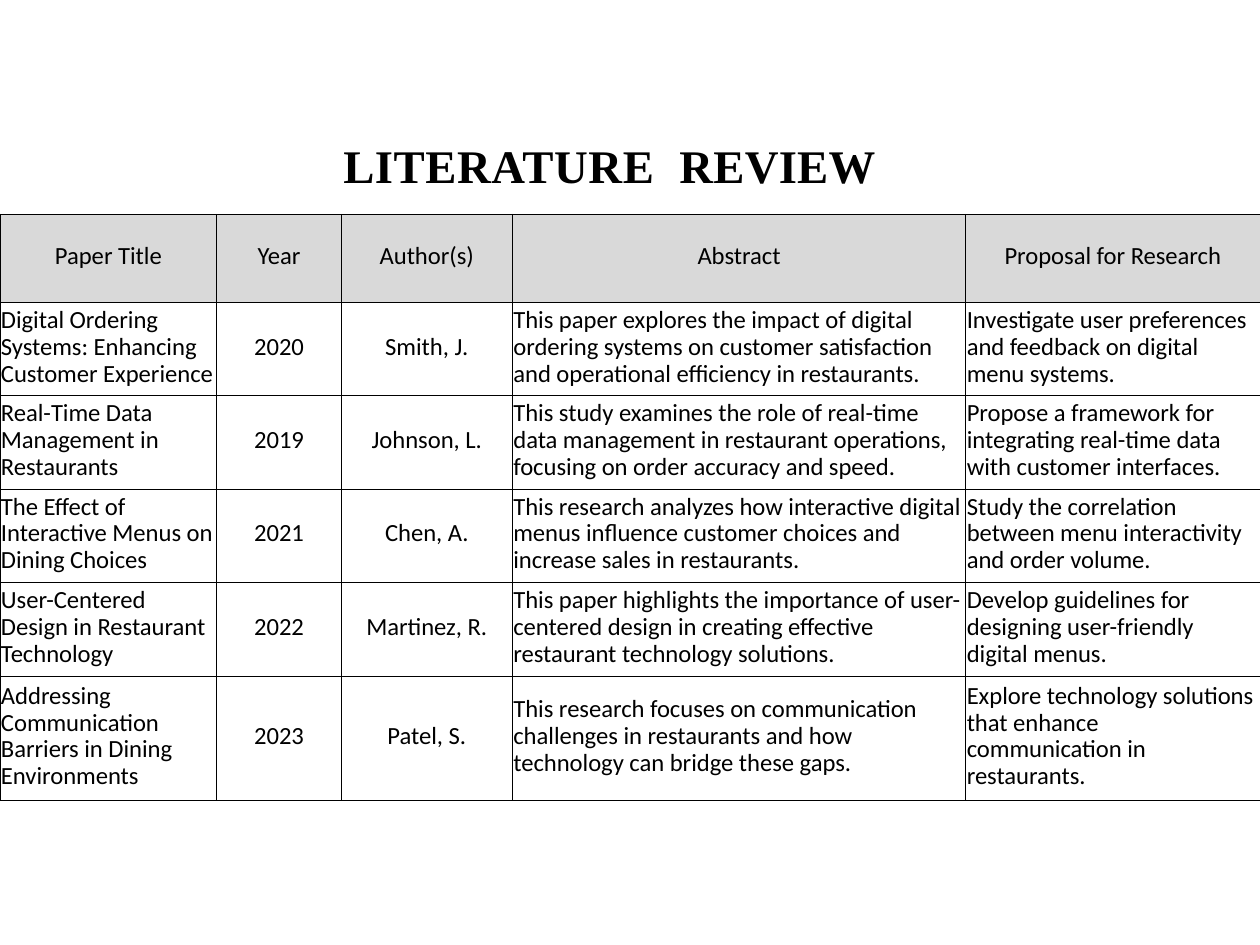
from dataclasses import dataclass

from lxml import etree
from pptx import Presentation
from pptx.dml.color import RGBColor
from pptx.enum import text as t
from pptx.oxml import ns
from pptx.util import Cm, Pt


@dataclass(frozen=True)
class Theme:
    ink: str = "000000"
    head: str = "D9D9D9"
    serif: str = "Times New Roman"
    sans: str = "Calibri"
    title: float = 26.7
    body: float = 14.1
    rule: float = 0.5


THEME = Theme()
COLS = [4.37, 2.51, 3.45, 9.14, 5.93]
ROWS = [1.78, 1.88, 1.88, 1.88, 1.9, 2.49]
MIDDLE = {1, 2}
PAPERS = [
    ["Paper Title", "Year", "Author(s)", "Abstract", "Proposal for Research"],
    ["Digital Ordering Systems: Enhancing Customer Experience", "2020", "Smith, J.",
     "This paper explores the impact of digital ordering systems on customer "
     "satisfaction and operational efficiency in restaurants.",
     "Investigate user preferences and feedback on digital menu systems."],
    ["Real-Time Data Management in Restaurants", "2019", "Johnson, L.",
     "This study examines the role of real-time data management in restaurant "
     "operations, focusing on order accuracy and speed.",
     "Propose a framework for integrating real-time data with customer interfaces."],
    ["The Effect of Interactive Menus on Dining Choices", "2021", "Chen, A.",
     "This research analyzes how interactive digital menus influence customer "
     "choices and increase sales in restaurants.",
     "Study the correlation between menu interactivity and order volume."],
    ["User-Centered Design in Restaurant Technology", "2022", "Martinez, R.",
     "This paper highlights the importance of user-centered design in creating "
     "effective restaurant technology solutions.",
     "Develop guidelines for designing user-friendly digital menus."],
    ["Addressing Communication Barriers in Dining Environments", "2023", "Patel, S.",
     "This research focuses on communication challenges in restaurants and how "
     "technology can bridge these gaps.",
     "Explore technology solutions that enhance communication in restaurants."],
]


def add_run(para, words, face, size, bold=False):
    run = para.add_run()
    run.text = words
    font = run.font
    font.name, font.size, font.bold = face, Pt(size), bold
    font.color.rgb = RGBColor.from_string(THEME.ink)
    return run


def set_edges(cell):
    props = cell._tc.get_or_add_tcPr()
    for side in ("a:lnL", "a:lnR", "a:lnT", "a:lnB"):
        line = etree.SubElement(props, ns.qn(side), w=str(Pt(THEME.rule)))
        fill = etree.SubElement(line, ns.qn("a:solidFill"))
        etree.SubElement(fill, ns.qn("a:srgbClr"), val=THEME.ink)


def add_title(slide, left, top, width, height):
    title = slide.shapes.title
    title.left, title.top = Cm(left), Cm(top)
    title.width, title.height = Cm(width), Cm(height)
    frame = title.text_frame
    frame.margin_left = frame.margin_right = frame.margin_bottom = 0
    frame.margin_top = Cm(0.03)
    frame.vertical_anchor = t.MSO_ANCHOR.MIDDLE
    frame.auto_size = t.MSO_AUTO_SIZE.SHAPE_TO_FIT_TEXT
    para = frame.paragraphs[0]
    para.alignment = t.PP_ALIGN.LEFT
    para.space_before = Pt(1.4)
    for words, gap in (("LITERATURE", 30), (" ", 730), ("REVIEW", 10)):
        run = add_run(para, words, THEME.serif, THEME.title, True)
        run.font._element.set("spc", str(gap))


def fill_cell(cell, words, center, head):
    cell.margin_left = cell.margin_right = cell.margin_top = Cm(0.02)
    cell.margin_bottom = Cm(0.1)
    cell.vertical_anchor = t.MSO_ANCHOR.MIDDLE
    set_edges(cell)
    if head:
        cell.fill.solid()
        cell.fill.fore_color.rgb = RGBColor.from_string(THEME.head)
    else:
        cell.fill.background()
    para = cell.text_frame.paragraphs[0]
    para.alignment = t.PP_ALIGN.CENTER if center else t.PP_ALIGN.LEFT
    para.line_spacing = 0.9
    add_run(para, words, THEME.sans, THEME.body)


def add_papers(slide, left, top):
    frame = slide.shapes.add_table(len(ROWS), len(COLS), Cm(left), Cm(top),
                                   Cm(sum(COLS)), Cm(sum(ROWS)))
    table = frame.table
    table.horz_banding = False
    for col, width in zip(table.columns, COLS):
        col.width = Cm(width)
    for row, height in zip(table.rows, ROWS):
        row.height = Cm(height)
    for r, paper in enumerate(PAPERS):
        for c, words in enumerate(paper):
            head = r == 0
            fill_cell(table.cell(r, c), words, head or c in MIDDLE, head)


def main():
    deck = Presentation()
    deck.slide_width, deck.slide_height = Cm(25.4), Cm(19.05)
    slide = deck.slides.add_slide(deck.slide_layouts[5])
    add_title(slide, 6.92, 2.72, 11.56, 1.17)
    add_papers(slide, 0, 4.32)
    deck.save("out.pptx")


if __name__ == "__main__":
    main()
